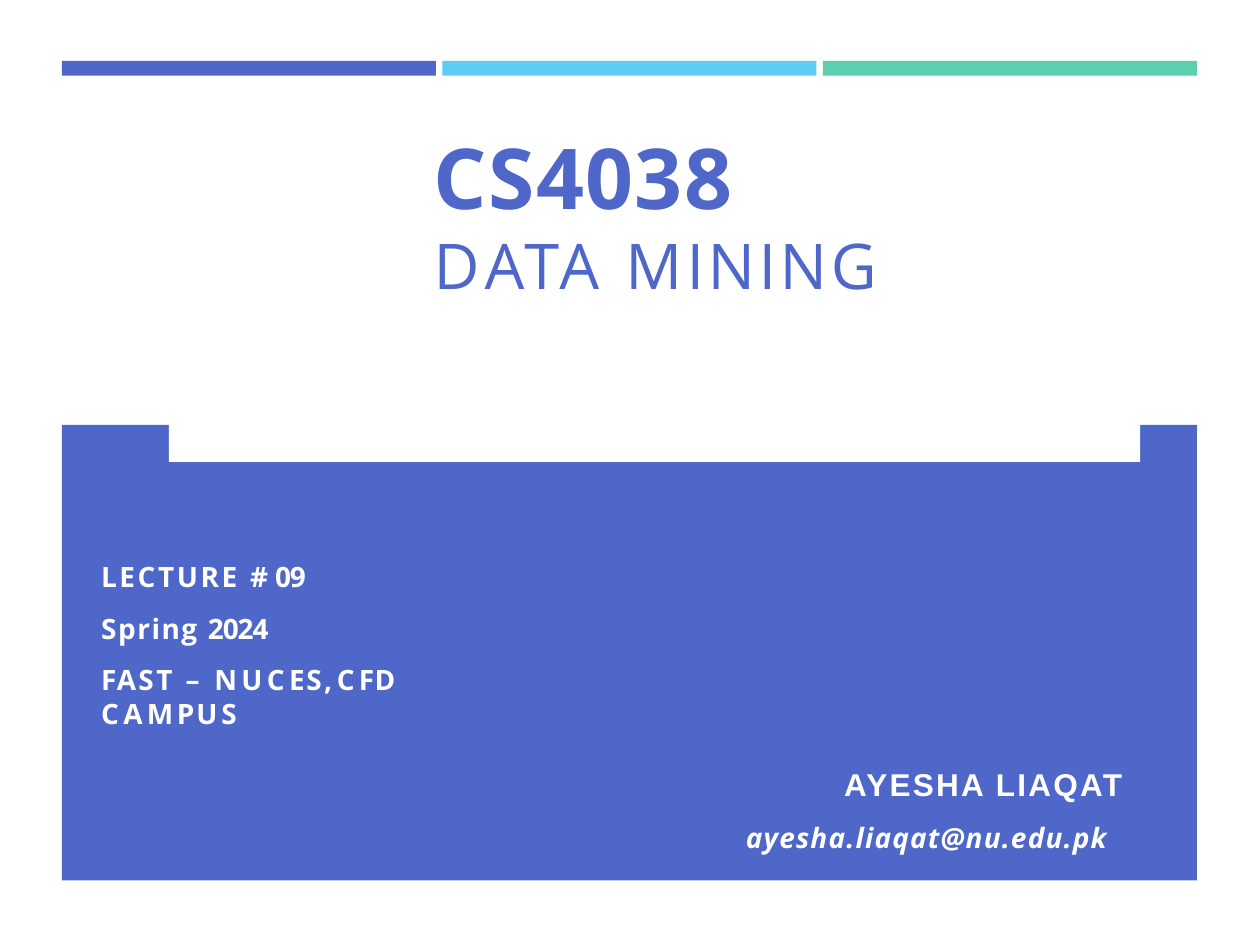
from dataclasses import dataclass, field
from typing import Any

from pptx import Presentation
from pptx.dml.color import RGBColor
from pptx.enum.shapes import MSO_SHAPE
from pptx.enum.text import MSO_ANCHOR, PP_ALIGN
from pptx.util import Pt


@dataclass(frozen=True)
class Theme:
    blue: str = "4E67C8"
    sky: str = "5ECCF3"
    green: str = "5DCEAF"
    white: str = "FFFFFF"
    sans: str = "Open Sans"
    plain: str = "Arial"
    code: float = 48
    course: float = 36
    name: float = 18
    body: float = 16


@dataclass(frozen=True)
class Box:
    left: float
    top: float
    width: float
    height: float

    def sides(self) -> list[Pt]:
        return [Pt(v) for v in (self.left, self.top, self.width, self.height)]


@dataclass(frozen=True)
class Line:
    runs: list[tuple[str, float]]
    font: dict[str, Any]
    color: str
    indent: float = 0.7
    form: dict[str, Any] = field(default_factory=dict)


@dataclass(frozen=True)
class Block:
    box: Box
    inset: float
    lines: list[Line]


def draw_panel(slide: Any, box: Box, color: str) -> None:
    panel = slide.shapes.add_shape(MSO_SHAPE.RECTANGLE, *box.sides())
    panel.shadow.inherit = False
    panel.fill.solid()
    panel.fill.fore_color.rgb = RGBColor.from_string(color)
    panel.line.fill.background()


def apply(target: Any, values: dict[str, Any]) -> None:
    for key, value in values.items():
        setattr(target, key, value)


def draw_text(slide: Any, block: Block) -> None:
    frame = slide.shapes.add_textbox(*block.box.sides()).text_frame
    apply(frame, {
        "word_wrap": True, "vertical_anchor": MSO_ANCHOR.TOP,
        "margin_left": 0, "margin_right": 0, "margin_bottom": 0,
        "margin_top": Pt(block.inset),
    })
    for i, line in enumerate(block.lines):
        para = frame.add_paragraph() if i else frame.paragraphs[0]
        apply(para, line.form)
        para._p.get_or_add_pPr().set("marL", str(int(Pt(line.indent))))
        for text, space in line.runs:
            run = para.add_run()
            run.text = text
            apply(run.font, line.font)
            run.font.color.rgb = RGBColor.from_string(line.color)
            run._r.get_or_add_rPr().set("spc", str(round(space * 100)))


def main() -> None:
    theme = Theme()
    deck = Presentation()
    deck.slide_width, deck.slide_height = Pt(720), Pt(540)
    slide = deck.slides.add_slide(deck.slide_layouts[6])

    left, span, gap = 35.3, 648.7, 3.7
    width = (span - 2 * gap) / 3
    for i, color in enumerate((theme.blue, theme.sky, theme.green)):
        bar = Box(left + i * (width + gap), 34.8, width, 8.4)
        draw_panel(slide, bar, color)
    draw_panel(slide, Box(left, 242.8, span, 260.3), theme.blue)
    draw_panel(slide, Box(96.5, 127.5, 555, 136.5), theme.white)

    code = {"name": theme.sans, "size": Pt(theme.code), "bold": True}
    course = {"name": theme.sans, "size": Pt(theme.course)}
    body = {"name": theme.sans, "size": Pt(theme.body), "bold": True}
    name = {"name": theme.plain, "size": Pt(theme.name), "bold": True}
    mail = body | {"italic": True}

    blocks = [
        Block(Box(180.7, 70.6, 386, 59.8), 0.9, [
            Line([("CS4038", 0.8)], code, theme.blue, 67.2,
                 {"space_before": Pt(1)}),
        ]),
        Block(Box(105.1, 128.2, 537.8, 41.8), 0.9, [
            Line([("D", 2.9), ("A", -0.9), ("T", -2.8), ("A ", 2.8),
                  ("M", 2.5), ("ININ", 2), ("G", 2.3)],
                 course, theme.blue,
                 form={"alignment": PP_ALIGN.CENTER, "line_spacing": 1.01,
                       "space_before": Pt(0.7)}),
        ]),
        Block(Box(57.1, 308.9, 239, 90), 10.8, [
            Line([("LECTURE ", 1.5), ("# ", -0.1), ("09", -0.6)],
                 body, theme.white, form={"space_before": Pt(10.8)}),
            Line([("Spring ", 0.9), ("2024", -0.6)],
                 body, theme.white, form={"space_before": Pt(10.8)}),
            Line([("F", 0.2), ("AS", 1.4), ("T ", 1.7), ("– ", 2.1),
                  ("NUC", 2.5), ("E", 1), ("S", 1.4), (", ", -1.6),
                  ("C", 2.5), ("F", 0.2), ("D C", 2.5), ("A", 2.4),
                  ("M", 2.1), ("P", 1.1), ("U", 2.2), ("S", 1.4)],
                 body, theme.white, form={"space_before": Pt(9.8)}),
        ]),
        Block(Box(425.5, 424.1, 237.6, 64.1), 13, [
            Line([("AYESHA LIAQAT", 1.3)], name, theme.white, 35.3,
                 {"alignment": PP_ALIGN.CENTER, "space_before": Pt(12.7)}),
            Line([("ayesha.liaqat@nu.edu.pk", 0.7)], mail, theme.white,
                 form={"space_before": Pt(10.4)}),
        ]),
    ]
    for block in blocks:
        draw_text(slide, block)

    deck.save("out.pptx")


if __name__ == "__main__":
    main()
